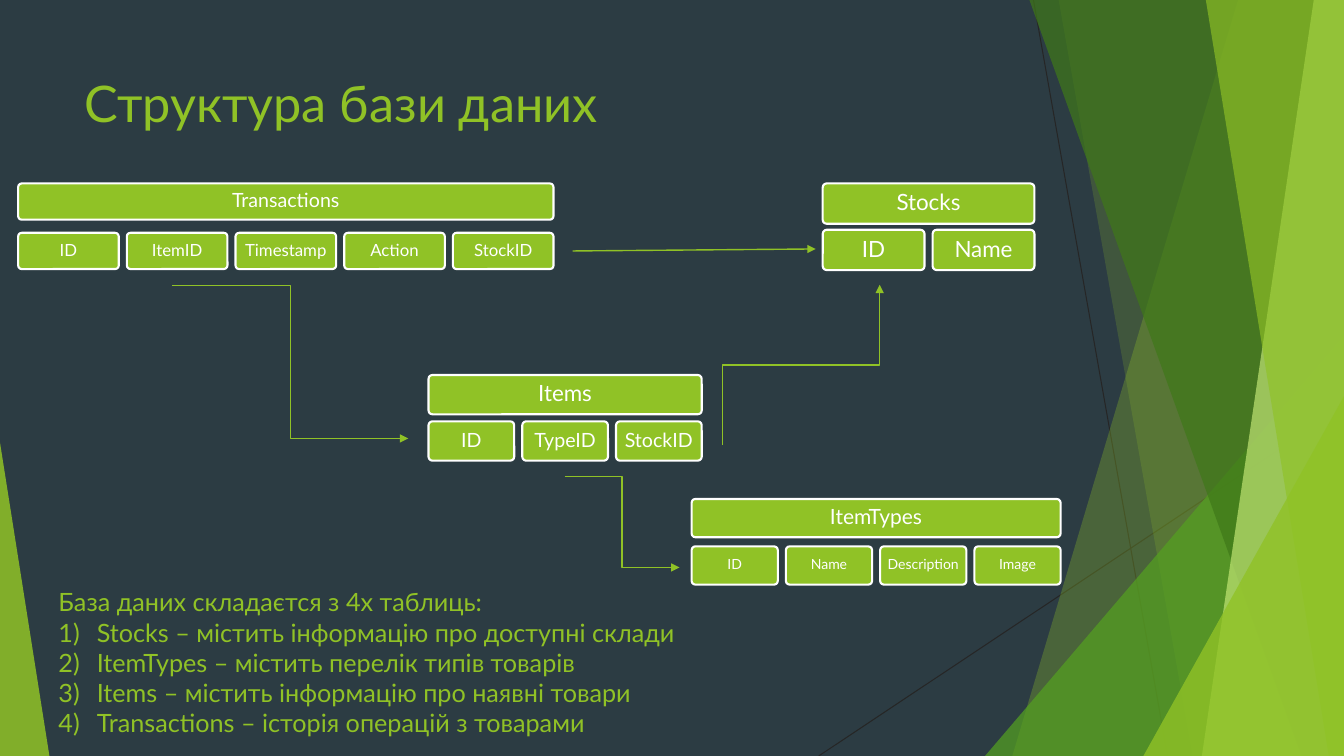
import pptx
import pptx.dml.color
import pptx.enum.shapes
import pptx.enum.text
import pptx.oxml
import pptx.oxml.ns
import pptx.util
from lxml import etree

Inches = pptx.util.Inches
Pt = pptx.util.Pt
qn = pptx.oxml.ns.qn
Shape = pptx.enum.shapes.MSO_SHAPE
Connector = pptx.enum.shapes.MSO_CONNECTOR
Align = pptx.enum.text.PP_ALIGN
Anchor = pptx.enum.text.MSO_ANCHOR

COLORS = {
    "background": "2C3C43",
    "lime": "90C226",
    "green": "54A021",
    "forest": "3F7819",
    "pale": "C0E474",
    "hairline": "262626",
    "white": "FFFFFF",
}
WIDTH, HEIGHT = 13.33, 7.5
COLUMN_GAP = 0.08


class DatabaseSlide:
    font = "Lato"

    def __init__(self, presentation):
        self.slide = presentation.slides.add_slide(presentation.slide_layouts[1])
        self.shapes = self.slide.shapes
        self.paint(self.slide.background.fill, "background")

    def color(self, name):
        return pptx.dml.color.RGBColor.from_string(COLORS[name])

    def paint(self, fill, name):
        fill.solid()
        fill.fore_color.rgb = self.color(name)

    def format_runs(self, paragraph, size, color):
        for run in paragraph.runs:
            run.font.name = self.font
            run.font.size = Pt(size)
            run.font.color.rgb = self.color(color)

    def place(self, shape, left, top, width, height):
        shape.left, shape.top = Inches(left), Inches(top)
        shape.width, shape.height = Inches(width), Inches(height)
        shape.text_frame.word_wrap = True
        shape.text_frame.auto_size = pptx.enum.text.MSO_AUTO_SIZE.NONE
        shape.text_frame.vertical_anchor = Anchor.TOP

    def title(self, text, *box):
        shape = self.shapes.title
        self.place(shape, *box)
        shape.text_frame.text = text
        paragraph = shape.text_frame.paragraphs[0]
        paragraph.alignment = Align.LEFT
        self.format_runs(paragraph, 36, "lime")

    def numbered_list(self, heading, items, *box):
        shape = self.slide.placeholders[1]
        self.place(shape, *box)
        shape.text_frame.text = "\n".join([heading, *items])
        for index, paragraph in enumerate(shape.text_frame.paragraphs):
            paragraph.space_before = Pt(0)
            self.format_runs(paragraph, 18, "lime")
            properties = paragraph._p.get_or_add_pPr()
            indent = Inches(0.38) if index else 0
            properties.set("marL", str(indent))
            properties.set("indent", str(-indent))
            if index:
                bullet = etree.SubElement(properties, qn("a:buAutoNum"))
                bullet.set("type", "arabicParenR")
            else:
                etree.SubElement(properties, qn("a:buNone"))

    def glass(self, shape, color, opacity):
        shape.shadow.inherit = False
        self.paint(shape.fill, color)
        shape.line.fill.background()
        tint = shape.element.spPr.find(qn("a:solidFill"))[0]
        etree.SubElement(tint, qn("a:alpha")).set("val", str(opacity * 1000))

    def band(self, top_x, bottom_x, color, opacity):
        points = [(top_x, 0), (WIDTH, 0), (WIDTH, HEIGHT), (bottom_x, HEIGHT)]
        corners = [(Inches(x), Inches(y)) for x, y in points]
        builder = self.shapes.build_freeform(*corners[0], scale=1.0)
        builder.add_line_segments(corners[1:], close=True)
        self.glass(builder.convert_to_shape(), color, opacity)

    def triangle(self, left, top, width, apex, color, opacity):
        shape = self.shapes.add_shape(
            Shape.ISOSCELES_TRIANGLE,
            Inches(left), Inches(top), Inches(width), Inches(HEIGHT - top))
        shape.adjustments[0] = apex
        self.glass(shape, color, opacity)

    def connector(self, kind, start, end, color="lime", weight=1, arrow=True, rotation=0):
        line = self.shapes.add_connector(
            kind, *(Inches(value) for value in (*start, *end)))
        line.line.color.rgb = self.color(color)
        line.line.width = Pt(weight)
        properties = line.element.spPr
        if arrow:
            outline = properties.find(qn("a:ln"))
            etree.SubElement(outline, qn("a:tailEnd")).set("type", "triangle")
        if rotation:
            properties.find(qn("a:xfrm")).set("rot", str(rotation * 60000))
        etree.SubElement(properties, qn("a:effectLst"))

    def cell(self, text, size, left, top, width, height):
        shape = self.shapes.add_shape(
            Shape.ROUNDED_RECTANGLE,
            Inches(left), Inches(top), Inches(width), Inches(height))
        shape.adjustments[0] = 0.1
        shape.shadow.inherit = False
        self.paint(shape.fill, "lime")
        shape.line.color.rgb = self.color("white")
        shape.line.width = Pt(1.5)
        frame = shape.text_frame
        frame.word_wrap = True
        frame.vertical_anchor = Anchor.MIDDLE
        frame.margin_left = frame.margin_right = Inches(0.05)
        frame.margin_top = frame.margin_bottom = Inches(0.05)
        frame.text = text
        paragraph = frame.paragraphs[0]
        paragraph.alignment = Align.CENTER
        paragraph.line_spacing = 0.9
        self.format_runs(paragraph, size, "white")

    def entity(self, name, fields, left, top, width, height, pitch, name_size, field_size):
        self.cell(name, name_size, left, top, width, height)
        column = (width - COLUMN_GAP * (len(fields) - 1)) / len(fields)
        for index, field in enumerate(fields):
            self.cell(field, field_size, left + index * (column + COLUMN_GAP),
                      top + pitch, column, height)

    def backdrop(self):
        for start, end in (((10.25, 0), (11.58, HEIGHT)), ((WIDTH, 4.03), (8.12, HEIGHT))):
            self.connector(Connector.STRAIGHT, start, end, "hairline", 0.75, False)
        self.band(12.28, 10.04, "lime", 30)
        self.band(10.5, 11.83, "lime", 20)
        self.triangle(9.77, 3.33, 3.56, 1, "green", 72)
        self.band(10.21, 12.91, "forest", 70)
        self.band(13.03, 11.92, "pale", 70)
        self.band(11.96, 13.18, "lime", 65)
        self.triangle(11.34, 3.93, 1.99, 1, "lime", 80)
        self.triangle(0, 4.39, 0.49, 0, "lime", 85)


def main():
    presentation = pptx.Presentation()
    presentation.slide_width = Inches(WIDTH)
    presentation.slide_height = Inches(HEIGHT)
    page = DatabaseSlide(presentation)

    page.backdrop()
    page.title("Структура бази даних", 0.74, 0.67, 9.4, 1.44)

    page.entity("Stocks", ["ID", "Name"], 8.16, 1.82, 2.1, 0.4, 0.46, 16, 16)
    page.entity("Items", ["ID", "TypeID", "StockID"],
                4.25, 3.72, 2.71, 0.39, 0.46, 16, 14)
    page.entity("ItemTypes", ["ID", "Name", "Description", "Image"],
                6.86, 4.95, 3.66, 0.38, 0.47, 15, 10)
    page.entity("Transactions", ["ID", "ItemID", "Timestamp", "Action", "StockID"],
                0.18, 1.82, 5.31, 0.36, 0.49, 14, 12)

    page.connector(Connector.ELBOW, (1.71, 2.83), (4.05, 4.35))
    page.connector(Connector.STRAIGHT, (5.68, 2.49), (8.09, 2.47))
    page.connector(Connector.ELBOW, (8.74, 4.4), (7.15, 2.84), rotation=90)
    page.connector(Connector.ELBOW, (5.6, 4.73), (6.74, 5.63))

    page.numbered_list(
        "База даних складаєтся з 4х таблиць:",
        [
            "Stocks – містить інформацію про доступні склади",
            "ItemTypes – містить перелік типів товарів",
            "Items – містить інформацію про наявні товари",
            "Transactions – історія операцій з товарами",
        ],
        0.48, 5.77, 6.6, 1.7)

    presentation.save("out.pptx")


if __name__ == "__main__":
    main()
